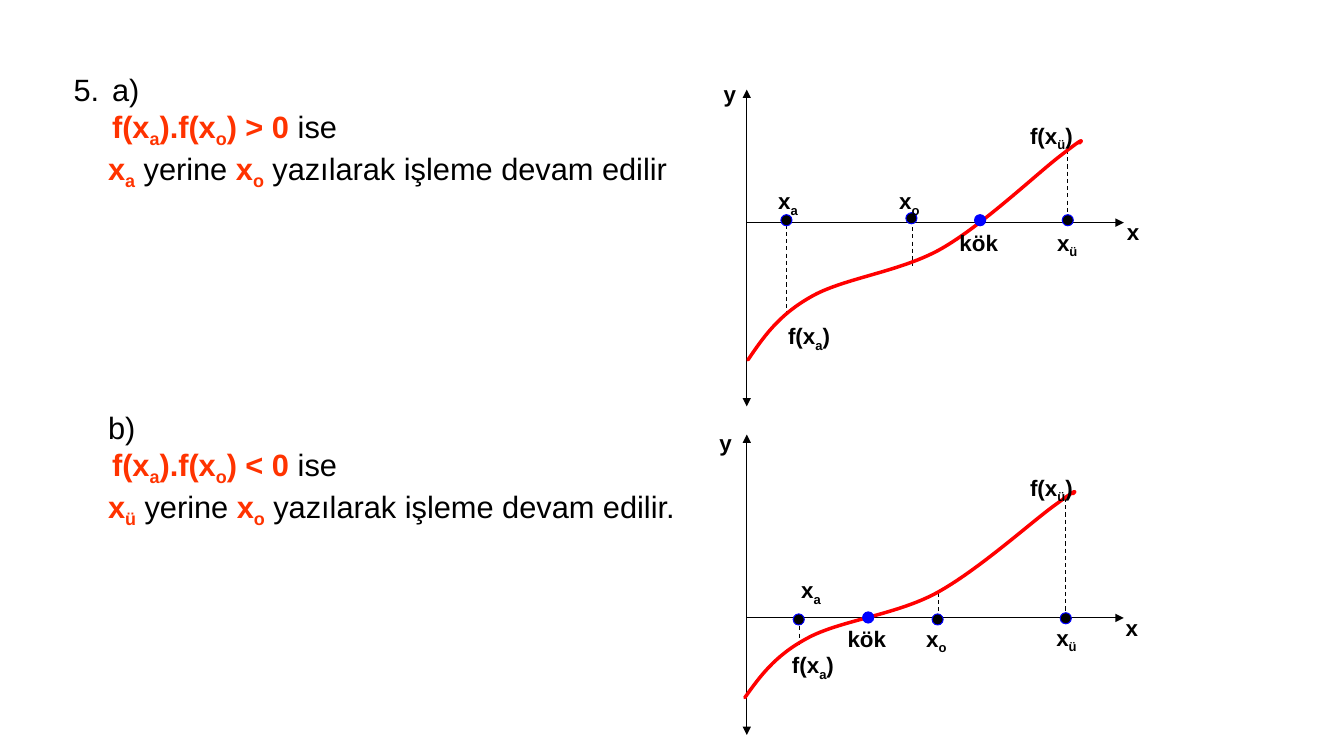
"""Build a slide on choosing the next interval in the bisection method."""
from lxml.etree import SubElement
from pptx import Presentation
from pptx.dml.color import RGBColor
from pptx.enum.dml import MSO_LINE
from pptx.enum.shapes import MSO_CONNECTOR, MSO_SHAPE
from pptx.enum.text import MSO_AUTO_SIZE
from pptx.oxml.ns import qn
from pptx.util import Cm, Pt

STRAIGHT = MSO_CONNECTOR.STRAIGHT
OVAL = MSO_SHAPE.OVAL
DASH = MSO_LINE.DASH
NO_AUTOFIT = MSO_AUTO_SIZE.NONE

FONT = "Arial"
BLACK, ORANGE, RED, BLUE = "000000", "FF3300", "FF0000", "0000FF"

# In texts, * switches emphasis and _ lowers the next letter.
STEPS = [
    {"text": "a)", "number": 5},
    {"text": "*f(x_a).f(x_o) > 0* ise", "indent": 0.97},
    {"text": "*x_a* yerine *x_o* yazılarak işleme devam edilir", "indent": 0.87},
    {"text": "b)", "indent": 0.87, "before": 155},
    {"text": "*f(x_a).f(x_o) < 0* ise", "indent": 0.97},
    {"text": "*x_ü* yerine *x_o* yazılarak işleme devam edilir.", "indent": 0.87},
]
HANGING = 0.97
BODY_FRAME = (1.6, 1.65, 15.88, 11.46)

AXIS_LEFT, AXIS_RIGHT = 18.82, 28.32
DOT = 0.28
LABEL_HEIGHT = 0.69
LABEL_WIDTHS = {"x": 0.89, "y": 0.89, "kök": 1.9}
CURVE = [
    (0, 0), (0.38, 0.56), (0.76, 1.12), (1.57, 1.58), (2.38, 2.06),
    (3.83, 2.21), (4.87, 2.8), (5.94, 3.41), (7.34, 4.75), (7.92, 5.18),
    (8.51, 5.64), (8.43, 5.54), (8.35, 5.46),
]
GRAPHS = [
    {
        "level": 5.61, "top": 2.26, "bottom": 10.24,
        "start": (18.85, 9.07), "scale": (1, 1),
        "drops": [(19.81, 5.66, 7.87), (22.99, 5.54, 6.71), (26.9, 3.78, 5.61)],
        "root": (24.7, 5.55),
        "dots": [(19.82, 5.55), (22.97, 5.5), (26.91, 5.55)],
        "labels": [
            ("y", 18.19, 2.03), ("x", 28.35, 5.49), ("kök", 24.13, 5.77),
            ("x_a", 19.56, 4.72), ("x_o", 22.61, 4.72), ("x_ü", 26.59, 5.77),
            ("f(x_a)", 19.81, 8.13), ("f(x_ü)", 25.91, 3.07),
        ],
    },
    {
        "level": 15.57, "top": 10.95, "bottom": 18.52,
        "start": (18.77, 17.58), "scale": (0.99, 0.94),
        "drops": [(20.14, 15.6, 16.26), (23.65, 14.94, 15.6), (26.85, 12.55, 15.52)],
        "root": (21.88, 15.56),
        "dots": [(20.13, 15.61), (23.63, 15.61), (26.86, 15.58)],
        "labels": [
            ("y", 18.08, 10.82), ("x", 28.32, 15.47), ("kök", 21.31, 15.75),
            ("x_a", 20.14, 14.53), ("x_o", 23.29, 15.75), ("x_ü", 26.57, 15.72),
            ("f(x_a)", 19.91, 16.41), ("f(x_ü)", 25.91, 11.94),
        ],
    },
]


def color(value):
    return RGBColor.from_string(value)


def add_span(para, text, size=22, bold=False, fill=BLACK, lowered=False):
    if not text:
        return
    span = para.add_run()
    span.text = text
    span.font.name = FONT
    span.font.size = Pt(size)
    span.font.bold = bold
    span.font.color.rgb = color(fill)
    if lowered:
        span.font._element.set("baseline", "-25000")


def write_formula(para, text, **style):
    first, *rest = text.split("_")
    add_span(para, first, **style)
    for part in rest:
        add_span(para, part[0], lowered=True, **style)
        add_span(para, part[1:], **style)


def fill_steps(body):
    body.left, body.top, body.width, body.height = map(Cm, BODY_FRAME)
    frame = body.text_frame
    frame.word_wrap = True
    frame.auto_size = NO_AUTOFIT
    for index, step in enumerate(STEPS):
        para = frame.paragraphs[0] if index == 0 else frame.add_paragraph()
        para.space_before = Pt(step.get("before", 0))
        properties = para._p.get_or_add_pPr()
        properties.set("marL", str(Cm(step.get("indent", HANGING))))
        if "number" in step:
            properties.set("indent", str(-Cm(HANGING)))
            SubElement(properties, qn("a:buFont"), typeface=FONT)
            SubElement(properties, qn("a:buAutoNum"), type="arabicPeriod",
                       startAt=str(step["number"]))
        else:
            properties.set("indent", "0")
            SubElement(properties, qn("a:buNone"))
        for position, part in enumerate(step["text"].split("*")):
            strong = position % 2 == 1
            write_formula(para, part, bold=strong, fill=ORANGE if strong else BLACK)


def add_line(shapes, start, end, ends=(), dash=None):
    line = shapes.add_connector(STRAIGHT, *map(Cm, start + end))
    line.line.color.rgb = color(BLACK)
    line.line.width = Pt(0.75)
    if dash:
        line.line.dash_style = dash
    properties = line._element.spPr
    for end_name in ends:
        SubElement(properties.find(qn("a:ln")), qn(end_name), type="triangle")
    SubElement(properties, qn("a:effectLst"))


def add_dot(shapes, center, fill):
    x, y = center
    dot = shapes.add_shape(OVAL, Cm(x - DOT / 2), Cm(y - DOT / 2), Cm(DOT), Cm(DOT))
    dot.shadow.inherit = False
    dot.fill.solid()
    dot.fill.fore_color.rgb = color(fill)
    dot.line.color.rgb = color(BLUE)
    dot.line.width = Pt(0.75)


def add_curve(shapes, start, scale):
    points = [(Cm(start[0] + x * scale[0]), Cm(start[1] - y * scale[1]))
              for x, y in CURVE]
    builder = shapes.build_freeform(*points[0])
    builder.add_line_segments(points[1:], close=False)
    curve = builder.convert_to_shape()
    curve.shadow.inherit = False
    curve.fill.background()
    curve.line.color.rgb = color(RED)
    curve.line.width = Pt(2.5)
    properties = curve._element.spPr
    properties.find(qn("a:ln")).set("cap", "rnd")
    outline = next(properties.iter(qn("a:path")))
    segments = outline.findall(qn("a:lnTo"))
    for index in range(0, len(segments), 3):
        bezier = SubElement(outline, qn("a:cubicBezTo"))
        for segment in segments[index:index + 3]:
            bezier.append(segment[0])
            outline.remove(segment)


def add_label(shapes, text, left, top):
    width = LABEL_WIDTHS.get(text, 1.3)
    box = shapes.add_textbox(Cm(left), Cm(top), Cm(width), Cm(LABEL_HEIGHT))
    frame = box.text_frame
    frame.word_wrap = True
    frame.margin_left = frame.margin_right = Cm(0.05)
    frame.margin_top = frame.margin_bottom = 0
    write_formula(frame.paragraphs[0], text, size=16, bold=True)


def add_graph(page, graph):
    shapes = page.shapes.add_group_shape().shapes
    level = graph["level"]
    add_line(shapes, (AXIS_LEFT, level), (AXIS_RIGHT, level), ends=["a:tailEnd"])
    add_line(shapes, (AXIS_LEFT, graph["top"]), (AXIS_LEFT, graph["bottom"]),
             ends=["a:headEnd", "a:tailEnd"])
    for x, top, bottom in graph["drops"]:
        add_line(shapes, (x, top), (x, bottom), dash=DASH)
    add_curve(shapes, graph["start"], graph["scale"])
    add_dot(shapes, graph["root"], BLUE)
    for center in graph["dots"]:
        add_dot(shapes, center, BLACK)
    for label in graph["labels"]:
        add_label(shapes, *label)


def main():
    deck = Presentation()
    deck.slide_width, deck.slide_height = Cm(33.87), Cm(19.05)
    page = deck.slides.add_slide(deck.slide_layouts[1])
    title = page.shapes.title._element
    title.getparent().remove(title)
    fill_steps(page.placeholders[1])
    for graph in GRAPHS:
        add_graph(page, graph)
    deck.save("out.pptx")


if __name__ == "__main__":
    main()
